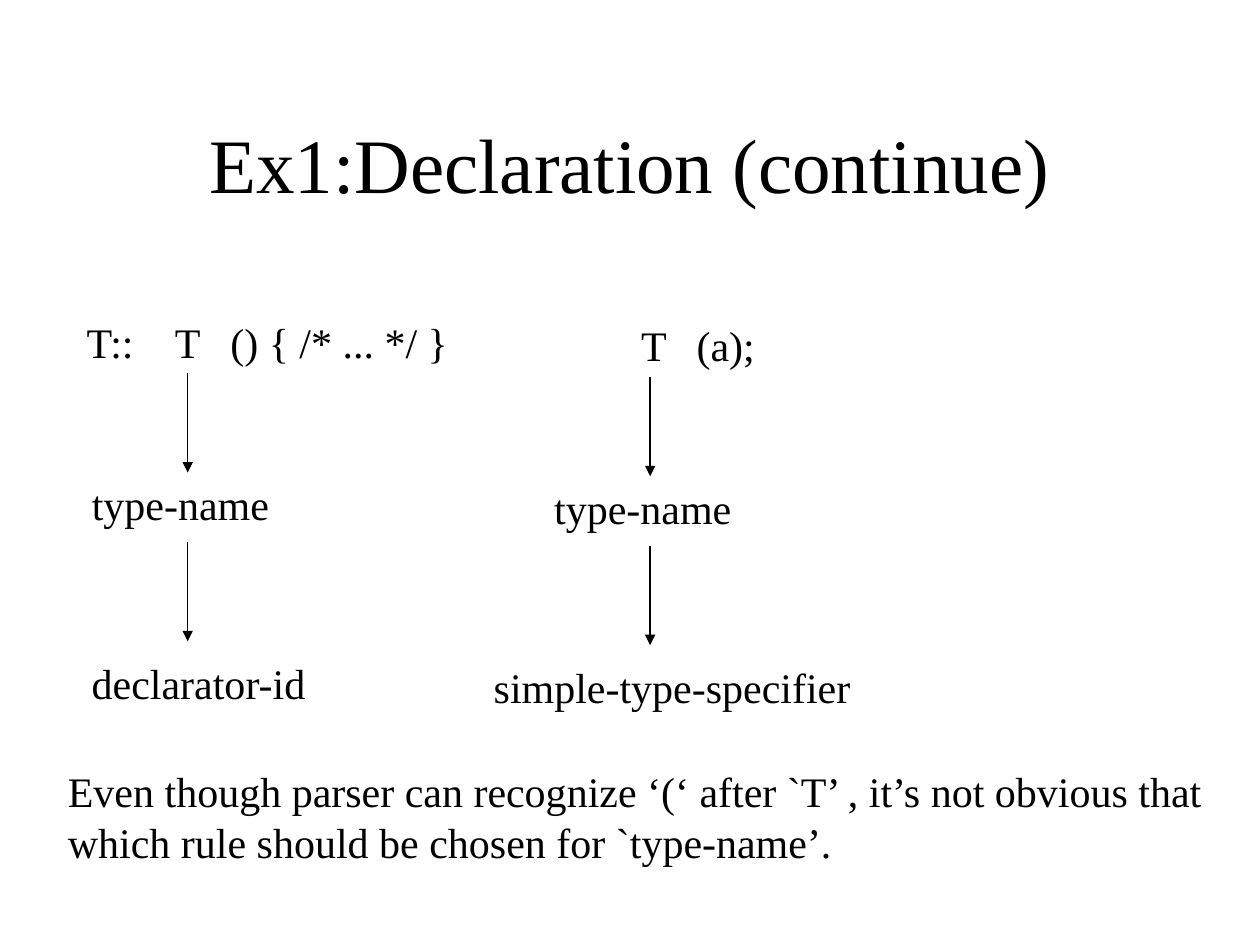
from dataclasses import dataclass

import lxml.etree
import pptx
import pptx.dml.color
import pptx.enum.shapes
import pptx.enum.text
import pptx.oxml.ns
import pptx.util

COLORS = {"ink": "000000", "paper": "FFFFFF"}
FONT = "Times New Roman"
COLUMNS, ROWS = 100, 75
SLIDE_WIDTH, SLIDE_HEIGHT = pptx.util.Inches(10), pptx.util.Inches(7.5)
LINE_ROWS = 5
qn = pptx.oxml.ns.qn


@dataclass(frozen=True)
class Label:
    text: str
    column: float
    width: float
    tabs: tuple[float, ...] = ()


@dataclass(frozen=True)
class Derivation:
    row: float
    arrow_column: float
    code: Label
    name: Label
    rule: Label


def across(columns: float) -> int:
    return round(SLIDE_WIDTH * columns / COLUMNS)


def down(rows: float) -> int:
    return round(SLIDE_HEIGHT * rows / ROWS)


def color(name: str) -> pptx.dml.color.RGBColor:
    return pptx.dml.color.RGBColor.from_string(COLORS[name])


def write(frame, text: str, *, size: float = 24, align=pptx.enum.text.PP_ALIGN.LEFT,
          anchor=pptx.enum.text.MSO_ANCHOR.TOP, tabs: tuple[float, ...] = ()) -> None:
    frame.text = text
    frame.word_wrap = True
    frame.auto_size = pptx.enum.text.MSO_AUTO_SIZE.NONE
    frame.vertical_anchor = anchor
    for paragraph in frame.paragraphs:
        if tabs:
            stops = lxml.etree.SubElement(paragraph._p.get_or_add_pPr(), qn("a:tabLst"))
            for stop in tabs:
                lxml.etree.SubElement(stops, qn("a:tab"), pos=str(across(stop)), algn="l")
        paragraph.alignment = align
        paragraph.font.name = FONT
        paragraph.font.size = pptx.util.Pt(size)
        paragraph.font.color.rgb = color("ink")


def add_label(slide, label: Label, row: float, height: float = LINE_ROWS) -> None:
    box = slide.shapes.add_textbox(
        across(label.column), down(row), across(label.width), down(height))
    write(box.text_frame, label.text, tabs=label.tabs)


def add_arrow(slide, column: float, row: float, length: float = 7.9) -> None:
    arrow = slide.shapes.add_connector(
        pptx.enum.shapes.MSO_CONNECTOR.STRAIGHT,
        across(column), down(row), across(column), down(row + length))
    arrow.line.color.rgb = color("ink")
    arrow.line.width = pptx.util.Pt(0.75)
    lxml.etree.SubElement(arrow.line._get_or_add_ln(), qn("a:tailEnd"), type="triangle")
    lxml.etree.SubElement(arrow._element.spPr, qn("a:effectLst"))


def add_derivation(slide, derivation: Derivation) -> None:
    row = derivation.row
    add_label(slide, derivation.code, row)
    add_arrow(slide, derivation.arrow_column, row + 5)
    add_label(slide, derivation.name, row + 12.9)
    add_arrow(slide, derivation.arrow_column, row + 18.4)
    add_label(slide, derivation.rule, row + 27.1)


DERIVATIONS = (
    Derivation(24.6, 14.9,
               Label("T::\tT\t() { /* ... */ }", 5.9, 31, (7, 11.4)),
               Label("type-name", 6.3, 18.1),
               Label("declarator-id", 6.3, 19.7)),
    Derivation(24.9, 51.6,
               Label("T\t(a);", 49.9, 11.1, (4.4,)),
               Label("type-name", 43, 18.1),
               Label("simple-type-specifier", 38.2, 33)),
)
CONCLUSION = Label(
    "Even though parser can recognize ‘(‘ after `T’ , it’s not obvious that\n"
    "which rule should be chosen for `type-name’.", 4.4, 93.5)


def main() -> None:
    deck = pptx.Presentation()
    deck.slide_width, deck.slide_height = SLIDE_WIDTH, SLIDE_HEIGHT
    slide = deck.slides.add_slide(deck.slide_layouts[5])
    slide.background.fill.solid()
    slide.background.fill.fore_color.rgb = color("paper")

    title = slide.shapes.title
    title.left, title.top = across(7.5), down(6.7)
    title.width, title.height = across(85), down(12.5)
    write(title.text_frame, "Ex1:Declaration (continue)", size=44,
          align=pptx.enum.text.PP_ALIGN.CENTER, anchor=pptx.enum.text.MSO_ANCHOR.MIDDLE)

    for derivation in DERIVATIONS:
        add_derivation(slide, derivation)
    add_label(slide, CONCLUSION, 60.3, height=9)

    deck.save("out.pptx")


if __name__ == "__main__":
    main()
